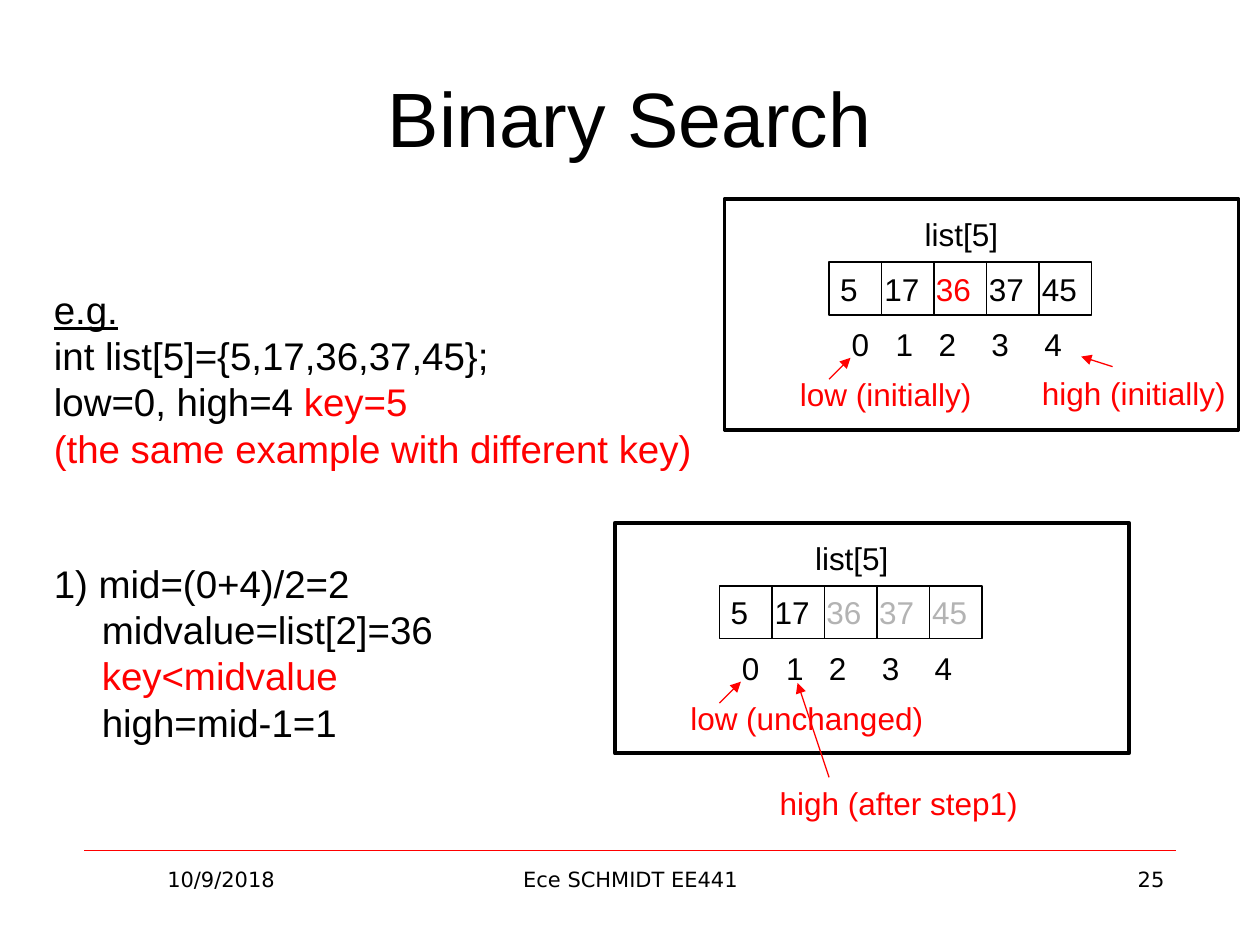
from pptx import Presentation
from pptx.dml.color import RGBColor
from pptx.enum.shapes import MSO_CONNECTOR, MSO_SHAPE
from pptx.enum.text import MSO_ANCHOR, PP_ALIGN
from pptx.oxml.ns import qn
from pptx.util import Inches, Pt
from lxml import etree

BLACK = RGBColor(0x00, 0x00, 0x00)
RED = RGBColor(0xFF, 0x00, 0x00)
GREY = RGBColor(0xB3, 0xB3, 0xB3)
STRAIGHT = MSO_CONNECTOR.STRAIGHT
RECTANGLE = MSO_SHAPE.RECTANGLE
MIDDLE = MSO_ANCHOR.MIDDLE
LEFT, CENTER, RIGHT = PP_ALIGN.LEFT, PP_ALIGN.CENTER, PP_ALIGN.RIGHT


def add_text(shapes, left, top, width, height, runs, size=18, font="Arial",
             align=LEFT, tabs=()):
    """Add a one-paragraph text box; runs are (text, colour), tabs are in inches."""
    box = shapes.add_textbox(Inches(left), Inches(top), Inches(width), Inches(height))
    box.text_frame.word_wrap = True
    paragraph = box.text_frame.paragraphs[0]
    paragraph.alignment = align
    if tabs:
        tab_list = etree.SubElement(paragraph._p.get_or_add_pPr(), qn("a:tabLst"))
        for position in tabs:
            etree.SubElement(tab_list, qn("a:tab"), pos=str(Inches(position)), algn="l")
    for text, color in runs:
        run = paragraph.add_run()
        run.text = text
        run.font.size = Pt(size)
        run.font.name = font
        run.font.color.rgb = color


def add_line(shapes, start, end, color, width=0.75, arrow=False):
    line = shapes.add_connector(STRAIGHT, *[Inches(value) for value in (*start, *end)])
    line.line.color.rgb = color
    line.line.width = Pt(width)
    if arrow:
        etree.SubElement(line.line._get_or_add_ln(), qn("a:tailEnd"), type="triangle")
    etree.SubElement(line._element.spPr, qn("a:effectLst"))


presentation = Presentation()
presentation.slide_width = Inches(10)
presentation.slide_height = Inches(7.5)
slide = presentation.slides.add_slide(presentation.slide_layouts[5])

# Title
title = slide.shapes.title
title.left, title.top = Inches(0.5), Inches(0.3)
title.width, title.height = Inches(9), Inches(1.25)
title.text_frame.text = "Binary Search"
title.text_frame.vertical_anchor = MIDDLE
title_paragraph = title.text_frame.paragraphs[0]
title_paragraph.alignment = CENTER
title_font = title_paragraph.runs[0].font
title_font.name, title_font.size = "Arial", Pt(44)
title_font.color.rgb = BLACK

# Footer
add_line(slide.shapes, (0.67, 6.75), (9.33, 6.75), RED, 0.25)
for left, width, text, align in [
    (0.67, 2.17, "10/9/2018", CENTER),
    (3.42, 3.17, "Ece SCHMIDT EE441", CENTER),
    (7.17, 2.17, "25", RIGHT),
]:
    add_text(slide.shapes, left, 6.83, width, 0.52, [(text, BLACK)], 12, "DejaVu Sans", align)

# Worked example: (runs, space before in points, left margin in inches)
LINE_GAP, STEP_GAP, STEP_INDENT = 5.3, 56.3, 0.38
example_lines = [
    ([("e.g.", BLACK)], 0, 0),
    ([("int list[5]={5,17,36,37,45};", BLACK)], LINE_GAP, 0),
    ([("low=0, high=4 ", BLACK), ("key=5", RED)], LINE_GAP, 0),
    ([("(the same example with different key)", RED)], LINE_GAP, 0),
    ([("1) mid=(0+4)/2=2", BLACK)], STEP_GAP, 0),
    ([("midvalue=list[2]=36", BLACK)], LINE_GAP, STEP_INDENT),
    ([("key<midvalue", RED)], LINE_GAP, STEP_INDENT),
    ([("high=mid-1=1", BLACK)], LINE_GAP, STEP_INDENT),
]
example = slide.shapes.add_textbox(Inches(0.33), Inches(2.29), Inches(5.4), Inches(3.75))
example.text_frame.word_wrap = True
for number, (runs, space_before, margin) in enumerate(example_lines):
    frame = example.text_frame
    paragraph = frame.add_paragraph() if number else frame.paragraphs[0]
    paragraph.line_spacing = 0.8
    paragraph.space_before = Pt(space_before)
    paragraph._p.get_or_add_pPr().set("marL", str(Inches(margin)))
    for text, color in runs:
        run = paragraph.add_run()
        run.text = text
        run.font.name, run.font.size = "Arial", Pt(22)
        run.font.color.rgb = color
        run.font.underline = text == "e.g."

# Array diagrams; the places of the "high" label and arrow are relative to the frame
CELL_COUNT, CELL_WIDTH, CELL_HEIGHT = 5, 1.25 / 3, 0.42
VALUE_TABS = (0.35, 0.76, 1.18, 1.6)
INDEX_TABS = (0.35, 0.69, 1.11, 1.53)
diagrams = [
    (5.75, 1.58, [("5\t17\t", BLACK), ("36", RED), ("\t37\t45", BLACK)],
     "low (initially)", "high (initially)", (2.42, 1.34), (3.08, 1.33), (2.83, 1.25)),
    (4.88, 4.15, [("5\t17\t", BLACK), ("36\t37\t45", GREY)],
     "low (unchanged)", "high (after step1)", (1.21, 2.02), (1.7, 2.02), (1.45, 1.27)),
]
for x, y, values, low, high, high_place, high_start, high_end in diagrams:
    shapes = slide.shapes.add_group_shape().shapes
    grid_left, grid_top = x + 0.83, y + 0.5
    for left, top, width, height, weight in [
        (x, y, 4.08, 1.83, 2.25),
        (grid_left, grid_top, CELL_COUNT * CELL_WIDTH, CELL_HEIGHT, 0.75),
    ]:
        outline = shapes.add_shape(RECTANGLE, Inches(left), Inches(top),
                                   Inches(width), Inches(height))
        outline.shadow.inherit = False
        outline.fill.background()
        outline.line.color.rgb = BLACK
        outline.line.width = Pt(weight)
    for column in range(1, CELL_COUNT):
        divider = grid_left + column * CELL_WIDTH
        add_line(shapes, (divider, grid_top), (divider, grid_top + CELL_HEIGHT), BLACK)

    add_text(shapes, x + 1.49, y + 0.08, 0.92, 0.4, [("list[5]", BLACK)])
    add_text(shapes, x + 0.82, y + 0.51, 2.14, 0.4, values, tabs=VALUE_TABS)
    add_text(shapes, x + 0.91, y + 0.95, 1.98, 0.4, [("0\t1\t2\t3\t4", BLACK)], tabs=INDEX_TABS)
    add_text(shapes, x + 0.5, y + 1.35, 2.08, 0.4, [(low, RED)])
    add_text(shapes, x + high_place[0], y + high_place[1], 2.17, 0.4, [(high, RED)])
    add_line(shapes, (x + 0.83, y + 1.43), (x + 1, y + 1.26), RED, arrow=True)
    add_line(shapes, (x + high_start[0], y + high_start[1]),
             (x + high_end[0], y + high_end[1]), RED, arrow=True)

presentation.save("out.pptx")
